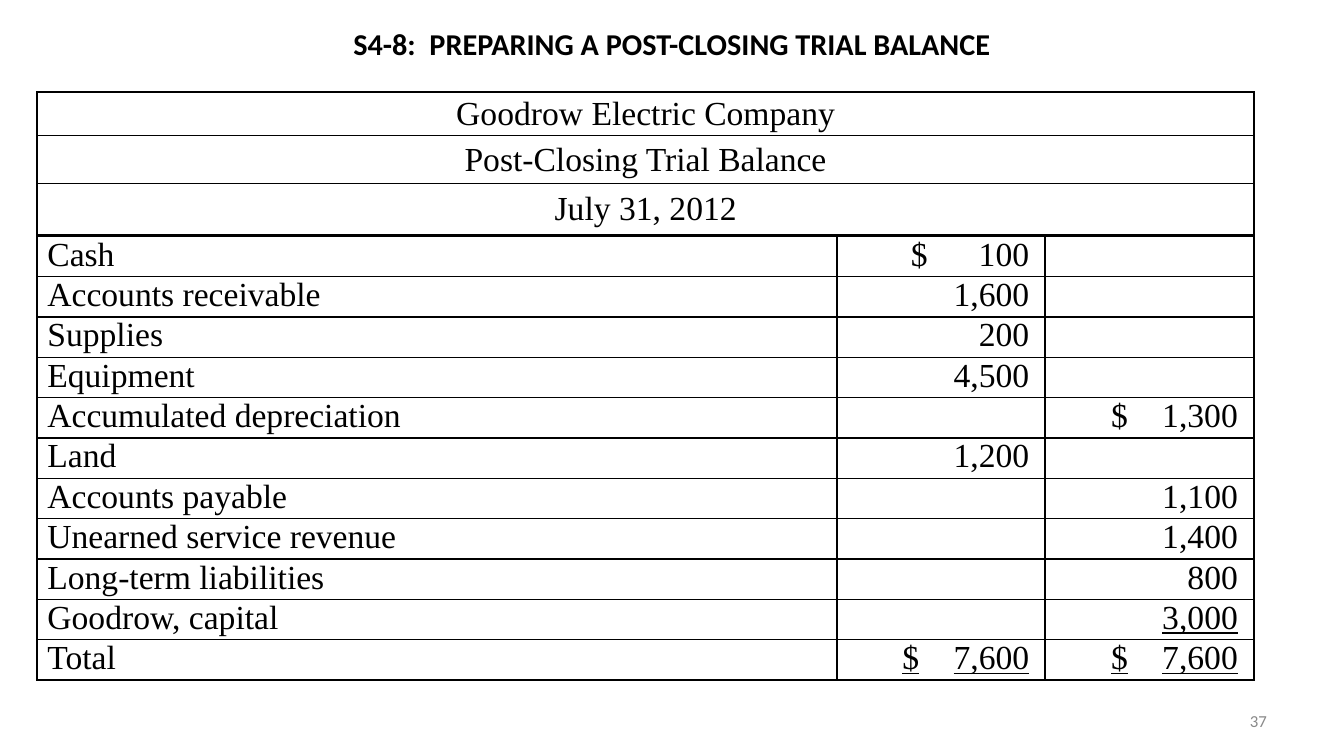
from lxml import etree
from pptx import Presentation
from pptx.dml.color import RGBColor
from pptx.enum.text import MSO_ANCHOR as Anchor, PP_ALIGN as Align
from pptx.oxml.ns import qn
from pptx.util import Pt

BLACK, GREY = "000000", "898989"
SANS, SERIF = "Calibri", "Times New Roman"
LEFT, WIDTH = 26.64, 869.04
AMOUNT = 149.04
HEADS = ["Goodrow Electric Company", "Post-Closing Trial Balance", "July 31, 2012"]
ROWS = [
    ("Cash", "$\t100", ""),
    ("Accounts receivable", "1,600", ""),
    ("Supplies", "200", ""),
    ("Equipment", "4,500", ""),
    ("Accumulated depreciation", "", "$\t1,300"),
    ("Land", "1,200", ""),
    ("Accounts payable", "", "1,100"),
    ("Unearned service revenue", "", "1,400"),
    ("Long-term liabilities", "", "800"),
    ("Goodrow, capital", "", "3,000"),
    ("Total", "$\t7,600", "$\t7,600"),
]


def color(code):
    return RGBColor.from_string(code)


class Deck:
    def __init__(self):
        self.file = Presentation()
        self.file.slide_width, self.file.slide_height = Pt(960), Pt(540)
        self.slide = self.file.slides.add_slide(self.file.slide_layouts[5])

    def put(self, frame, text, size, face, code=BLACK, align=Align.LEFT,
            bold=False, under=False, tab=None):
        """Fill a text frame; tab is the place of a right tab stop."""
        para = frame.paragraphs[0]
        para.text = text
        para.alignment = align
        if tab:
            stops = etree.SubElement(para._p.get_or_add_pPr(), qn("a:tabLst"))
            etree.SubElement(stops, qn("a:tab"), pos=str(Pt(tab)), algn="r")
        font = para.font
        font.size, font.name, font.bold = Pt(size), face, bold
        font.underline = under
        font.color.rgb = color(code)

    def place(self, shape, x, y, w, h):
        shape.left, shape.top, shape.width, shape.height = map(Pt, (x, y, w, h))
        frame = shape.text_frame
        frame.word_wrap = True
        frame.vertical_anchor = Anchor.MIDDLE
        return frame

    def title(self, text, *box):
        frame = self.place(self.slide.shapes.title, *box)
        self.put(frame, text, 21.6, SANS, align=Align.CENTER, bold=True)

    def label(self, text, *box):
        shape = self.slide.shapes.add_textbox(0, 0, 0, 0)
        self.put(self.place(shape, *box), text, 12, SANS, GREY, Align.RIGHT)

    def table(self, x, y, cols, rows):
        shape = self.slide.shapes.add_table(
            len(rows), len(cols), Pt(x), Pt(y), Pt(sum(cols)), Pt(sum(rows)))
        grid = shape.table
        grid.first_row = grid.horz_banding = False
        for col, w in zip(grid.columns, cols):
            col.width = Pt(w)
        for row, h in zip(grid.rows, rows):
            row.height = Pt(h)
        return grid

    def cell(self, cell, text, edges, left=7.2, right=7.2, anchor=Anchor.TOP, **style):
        """Fill a cell; edges are line widths left, right, top, bottom (0 for none)."""
        cell.margin_left, cell.margin_right = Pt(left), Pt(right)
        cell.margin_top = cell.margin_bottom = 0
        cell.vertical_anchor = anchor
        cell.fill.background()
        props = cell._tc.get_or_add_tcPr()
        for i, (side, width) in enumerate(zip("LRTB", edges)):
            line = etree.Element(qn(f"a:ln{side}"), w=str(Pt(width)))
            if width:
                fill = etree.SubElement(line, qn("a:solidFill"))
                etree.SubElement(fill, qn("a:srgbClr"), val=BLACK)
            else:
                etree.SubElement(line, qn("a:noFill"))
            props.insert(i, line)
        self.put(cell.text_frame, text, 24, SERIF, **style)

    def accounts(self):
        cols = [WIDTH - 2 * AMOUNT, AMOUNT, AMOUNT]
        grid = self.table(LEFT, 139.9, cols, [28.8] * (len(ROWS) + 1))
        for c, edges in enumerate([(1.5, 0, 0, 1), (0, 0, 0, 1), (0, 1.5, 0, 1)]):
            self.cell(grid.cell(0, c), "", edges)
        grid.cell(0, 1).merge(grid.cell(0, 2))
        for r, row in enumerate(ROWS, 1):
            edges = (1.5, 1.5, 1, 1.5 if r == len(ROWS) else 1)
            for c, text in enumerate(row):
                spot = grid.cell(r, c)
                if c == 0:
                    self.cell(spot, text, edges)
                    continue
                under = bool(text) and row[0] in ("Goodrow, capital", "Total")
                if "\t" in text:
                    start = 53 if row[0] == "Cash" else 47
                    self.cell(spot, text, edges, start, 11.5, under=under,
                              tab=AMOUNT - 11.5 - start)
                else:
                    self.cell(spot, text, edges, right=11.5, under=under,
                              align=Align.RIGHT)

    def heads(self):
        grid = self.table(LEFT, 65.8, [WIDTH], [31, 34.6, 36.7])
        for r, text in enumerate(HEADS):
            edges = (1.5, 1.5, 1 if r else 1.5, 1.5 if r == 2 else 1)
            self.cell(grid.cell(r, 0), text, edges, anchor=Anchor.MIDDLE,
                      align=Align.CENTER)


def main():
    deck = Deck()
    deck.title("S4-8:  PREPARING A POST-CLOSING TRIAL BALANCE", 40, 18, 880, 26)
    deck.label("37", 688, 500.5, 224, 28.75)
    deck.accounts()
    deck.heads()
    deck.file.save("out.pptx")


if __name__ == "__main__":
    main()
